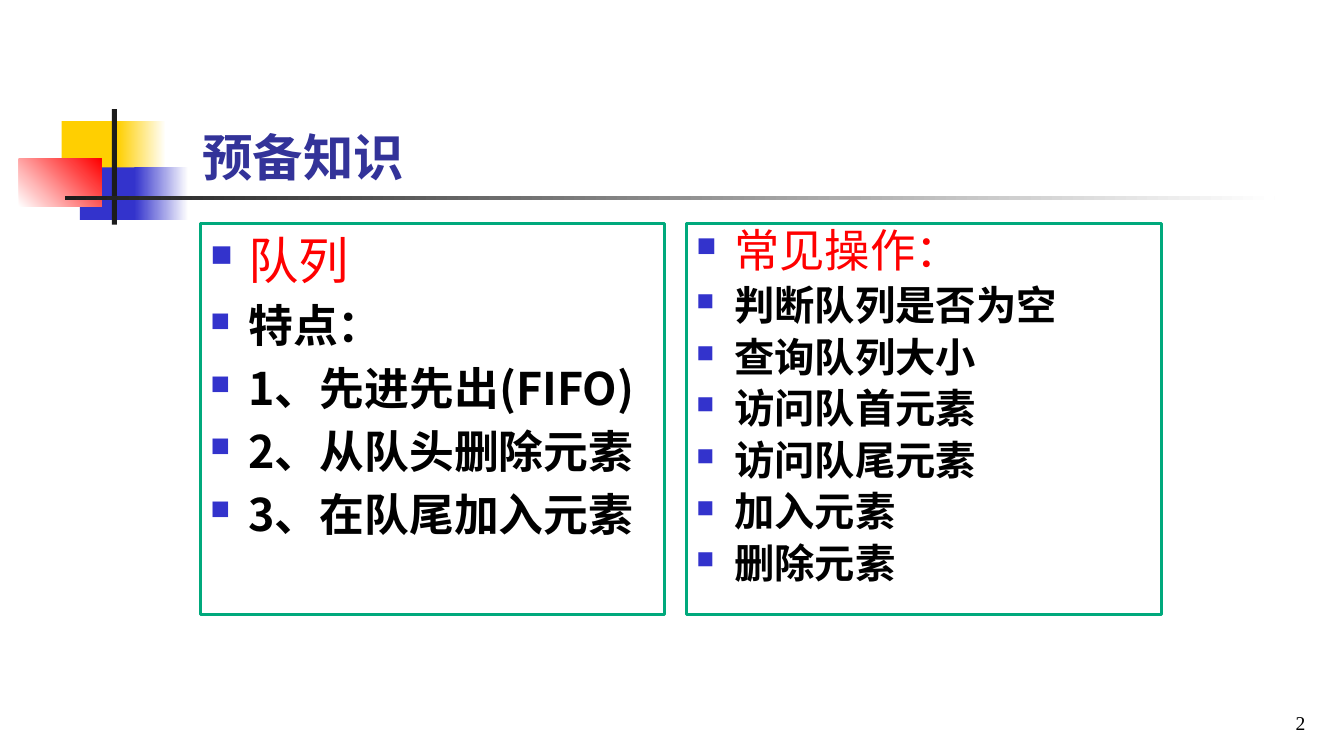
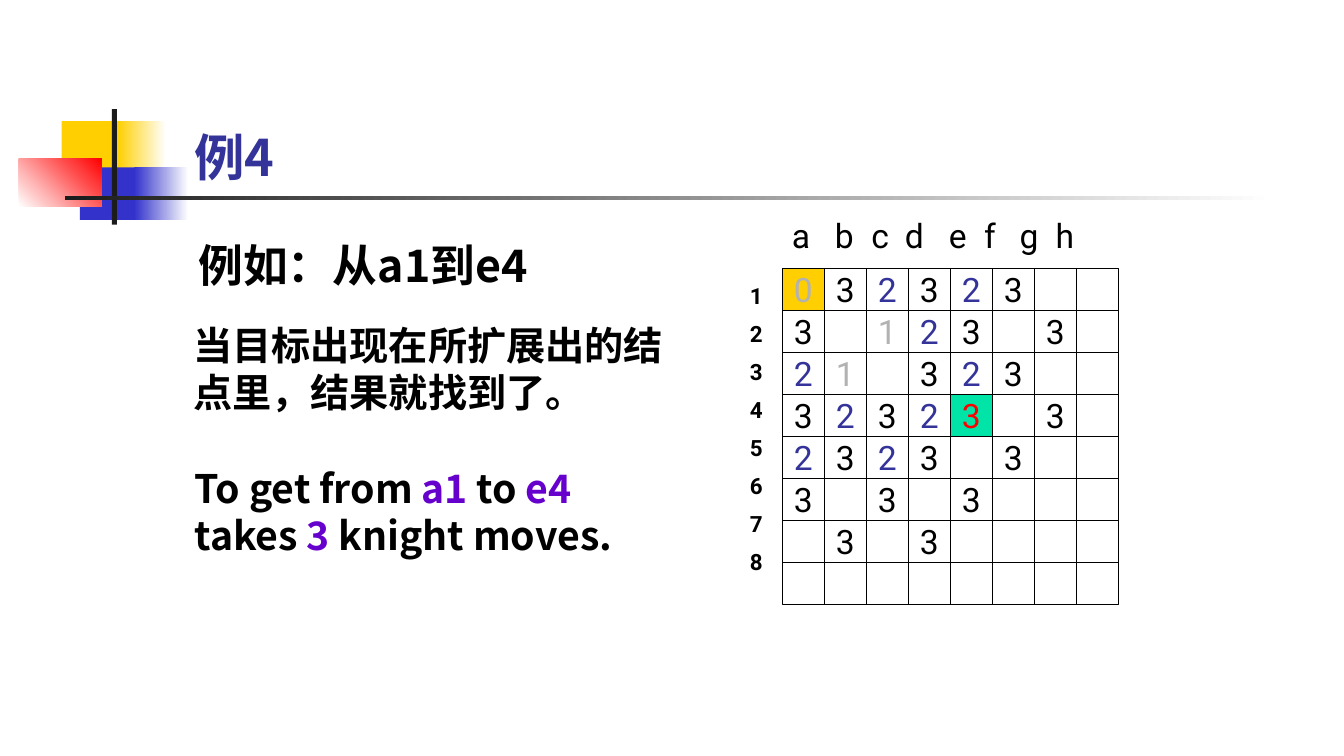
from dataclasses import dataclass
from typing import NamedTuple, Optional, Sequence

from lxml.etree import SubElement
from pptx import Presentation
from pptx.dml.color import RGBColor
from pptx.enum.shapes import MSO_SHAPE
from pptx.enum.text import MSO_ANCHOR, PP_ALIGN
from pptx.oxml.ns import qn
from pptx.util import Pt


@dataclass(frozen=True)
class Theme:
    black: str = "000000"
    ink: str = "1C1C1C"
    white: str = "FFFFFF"
    gray: str = "B2B2B2"
    yellow: str = "FFCF01"
    blue: str = "3333CC"
    navy: str = "333399"
    purple: str = "6600CC"
    red: str = "FF0000"
    green: str = "00A97C"
    mint: str = "00E4A8"
    chinese: str = "Noto Sans CJK SC"
    english: str = "Noto Sans CJK KR"
    plain: str = "Roboto"
    serif: str = "Times New Roman"
    title: float = 36
    body: float = 32
    note: float = 28
    board: float = 24
    rank: float = 16
    page: float = 14


THEME = Theme()


class Box(NamedTuple):
    left: float
    top: float
    width: float
    height: float


class Band(NamedTuple):
    box: Box
    color: str
    fade_to: Optional[str] = None
    angle: float = 0


class Run(NamedTuple):
    text: str
    size: float
    color: str = THEME.black
    bold: bool = True
    font: str = THEME.chinese


class Para(NamedTuple):
    runs: Sequence[Run]
    before: float = 0
    line_spacing: Optional[float] = None
    bullet: bool = False
    align: PP_ALIGN = PP_ALIGN.LEFT
    tabs: Sequence[float] = ()


BANDS = [
    Band(Box(44, 86.5, 46, 37.5), THEME.yellow),
    Band(Box(84, 86.5, 34.5, 37.5), THEME.yellow, THEME.white),
    Band(Box(57, 119.5, 44.5, 37.5), THEME.blue),
    Band(Box(96, 119.5, 38.5, 37.5), THEME.blue, THEME.white),
    Band(Box(13.5, 113.5, 59, 34), THEME.white, THEME.red, 45),
    Band(Box(80, 78, 3.5, 82.5), THEME.ink),
    Band(Box(46.5, 140.2, 864, 2.5), THEME.ink, THEME.white),
]

BOARD_LEFT, BOARD_TOP, SQUARE = 558.8, 191.6, 30
GOAL = (3, 4)
MOVES = [
    "032323..",
    "3.123.3.",
    "21.323..",
    "32323.3.",
    "2323.3..",
    "3.3.3...",
    ".3.3....",
    "........",
]
MOVE_COLORS = {"0": THEME.gray, "1": THEME.gray, "2": THEME.navy, "3": THEME.black}
FILE_CENTERS = [12, 43, 68.5, 93, 124, 147, 175, 200.5]


def add_rect(slide, box: Box, fill: Optional[str] = None,
             line: Optional[str] = None, line_width: float = 0.75):
    rect = slide.shapes.add_shape(MSO_SHAPE.RECTANGLE, *map(Pt, box))
    rect.shadow.inherit = False
    if fill:
        rect.fill.solid()
        rect.fill.fore_color.rgb = RGBColor.from_string(fill)
    else:
        rect.fill.background()
    if line:
        rect.line.color.rgb = RGBColor.from_string(line)
        rect.line.width = Pt(line_width)
    else:
        rect.line.fill.background()
    return rect


def add_band(slide, band: Band) -> None:
    rect = add_rect(slide, band.box, band.color)
    if band.fade_to:
        rect.fill.gradient()
        rect.fill.gradient_angle = band.angle
        for stop, color in zip(rect.fill.gradient_stops, (band.color, band.fade_to)):
            stop.color.rgb = RGBColor.from_string(color)


def add_run(paragraph, content: Run) -> None:
    run = paragraph.add_run()
    run.text = content.text
    font = run.font
    font.size, font.bold, font.name = Pt(content.size), content.bold, content.font
    font.color.rgb = RGBColor.from_string(content.color)
    east_asian = content.font if "CJK" in content.font else THEME.chinese
    SubElement(run._r.get_or_add_rPr(), qn("a:ea"), typeface=east_asian)


def add_bullet(paragraph) -> None:
    props = paragraph._p.get_or_add_pPr()
    props.set("marL", str(Pt(27)))
    props.set("indent", str(-Pt(27)))
    color = SubElement(props, qn("a:buClr"))
    SubElement(color, qn("a:srgbClr"), val=THEME.blue)
    SubElement(props, qn("a:buSzPct"), val="60000")
    SubElement(props, qn("a:buChar"), char="■")


def add_centered_tabs(paragraph, stops: Sequence[float]) -> None:
    tab_list = SubElement(paragraph._p.get_or_add_pPr(), qn("a:tabLst"))
    for stop in stops:
        SubElement(tab_list, qn("a:tab"), pos=str(Pt(stop)), algn="ctr")


def write(shape, paras: Sequence[Para], anchor: MSO_ANCHOR = MSO_ANCHOR.TOP,
          wrap: bool = True) -> None:
    frame = shape.text_frame
    frame.word_wrap = wrap
    frame.vertical_anchor = anchor
    for index, para in enumerate(paras):
        paragraph = frame.add_paragraph() if index else frame.paragraphs[0]
        paragraph.alignment = para.align
        if para.line_spacing:
            paragraph.line_spacing = para.line_spacing
        paragraph.space_before = Pt(para.before)
        if para.bullet:
            add_bullet(paragraph)
        if para.tabs:
            add_centered_tabs(paragraph, para.tabs)
        for run in para.runs:
            add_run(paragraph, run)


def add_text(slide, box: Box, paras: Sequence[Para],
             anchor: MSO_ANCHOR = MSO_ANCHOR.TOP) -> None:
    write(slide.shapes.add_textbox(*map(Pt, box)), paras, anchor)


def add_base_slide(deck, title_left: float, title: Sequence[Run]):
    """Add a blank slide with the coloured bands and the title."""
    slide = deck.slides.add_slide(deck.slide_layouts[6])
    for band in BANDS:
        add_band(slide, band)
    add_text(slide, Box(title_left, 60.5, 654, 76.3), [Para(title)], MSO_ANCHOR.BOTTOM)
    return slide


def title_run(text: str, font: str = THEME.plain) -> Run:
    return Run(text, THEME.title, THEME.navy, font=font)


def add_panel(slide, box: Box, heading: Run, points: Sequence[str], size: float,
              line_spacing: Optional[float] = None) -> None:
    """Add a framed bullet list with a red first line."""
    runs = [heading, *(Run(point, size) for point in points)]
    paras = [Para([run], run.size * 0.2, line_spacing, bullet=True) for run in runs]
    write(add_rect(slide, box, line=THEME.green, line_width=2.25), paras)


def add_board(slide) -> None:
    files = Run("\t" + "\t".join("abcdefgh"), THEME.board, bold=False, font=THEME.plain)
    add_text(slide, Box(553, 149.8, 254, 36), [Para([files], tabs=FILE_CENTERS)])
    ranks = [Para([Run(str(rank), THEME.rank, font=THEME.plain)], THEME.rank / 2)
             for rank in range(1, len(MOVES) + 1)]
    add_text(slide, Box(528.5, 198, 24, 229), ranks)

    for row, counts in enumerate(MOVES):
        for column, count in enumerate(counts):
            is_goal = (row, column) == GOAL
            fill = THEME.mint if is_goal else THEME.yellow if count == "0" else None
            square = add_rect(
                slide,
                Box(BOARD_LEFT + column * SQUARE, BOARD_TOP + row * SQUARE, SQUARE, SQUARE),
                fill, THEME.black)
            if count != ".":
                color = THEME.red if is_goal else MOVE_COLORS[count]
                label = Run(count, THEME.board, color, bold=False, font=THEME.plain)
                write(square, [Para([label], align=PP_ALIGN.CENTER)],
                      MSO_ANCHOR.MIDDLE, wrap=False)


def add_queue_slide(deck) -> None:
    slide = add_base_slide(deck, 137.5, [title_run("预备知识")])
    page = Run("2", THEME.page, bold=False, font=THEME.serif)
    add_text(slide, Box(739.5, 491.8, 200, 36), [Para([page], align=PP_ALIGN.RIGHT)],
             MSO_ANCHOR.BOTTOM)
    add_panel(slide, Box(143.3, 159.8, 331.2, 279.4),
              Run("队列", 36, THEME.red, bold=False),
              ["特点：", "1、先进先出(FIFO)", "2、从队头删除元素", "3、在队尾加入元素"],
              THEME.body)
    add_panel(slide, Box(490.3, 159.8, 339.1, 279.4),
              Run("常见操作：", 32.4, THEME.red, bold=False),
              ["判断队列是否为空", "查询队列大小", "访问队首元素", "访问队尾元素",
               "加入元素", "删除元素"],
              28.8, 0.9)


def add_knight_slide(deck) -> None:
    slide = add_base_slide(deck, 131.8, [title_run("例"), title_run("4", THEME.english)])
    add_text(slide, Box(134.6, 166.3, 350.6, 48.2),
             [Para([Run("例如：从a1到e4", THEME.body)])])
    add_text(slide, Box(131, 226, 357.8, 75),
             [Para([Run("当目标出现在所扩展出的结点里，结果就找到了。", THEME.note)])])
    answer = ["To get from ", "a1", " to ", "e4", " takes ", "3", " knight moves."]
    add_text(slide, Box(131.8, 328.3, 354.2, 75), [Para([
        Run(part, THEME.note, THEME.purple if index % 2 else THEME.black, font=THEME.english)
        for index, part in enumerate(answer)])])
    add_board(slide)


def main() -> None:
    deck = Presentation()
    deck.slide_width, deck.slide_height = Pt(960), Pt(540)
    add_queue_slide(deck)
    add_knight_slide(deck)
    deck.save("out.pptx")


if __name__ == "__main__":
    main()
